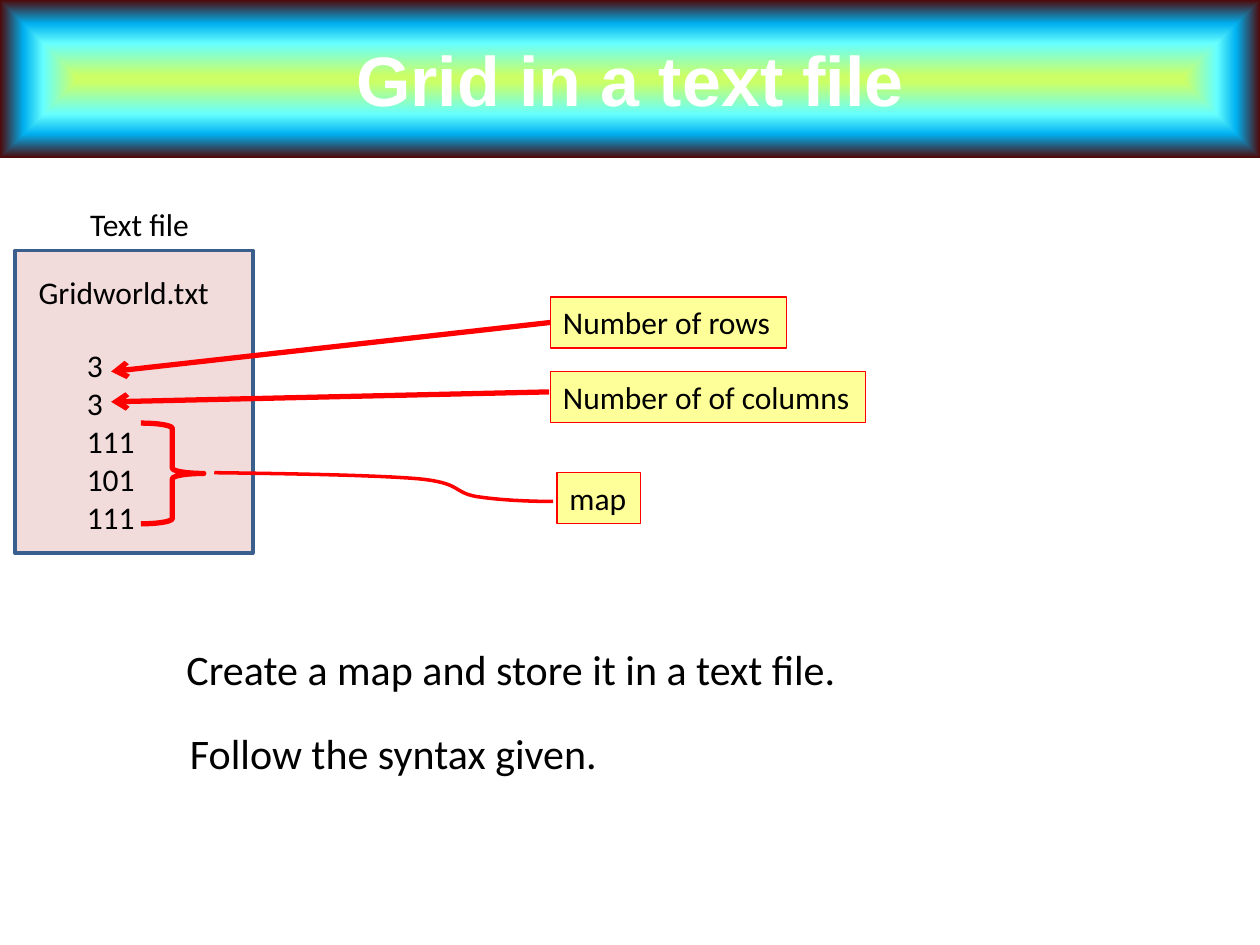
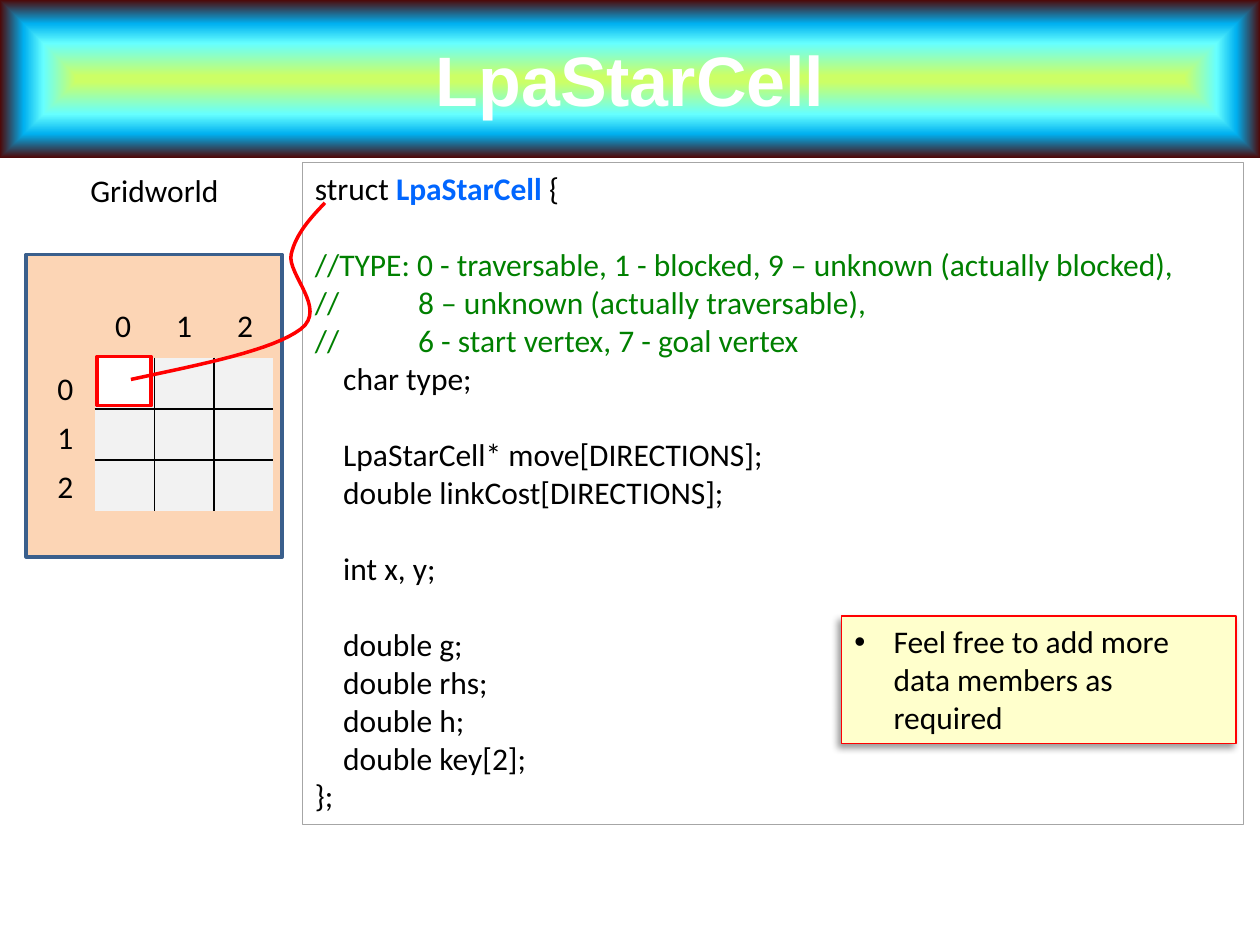
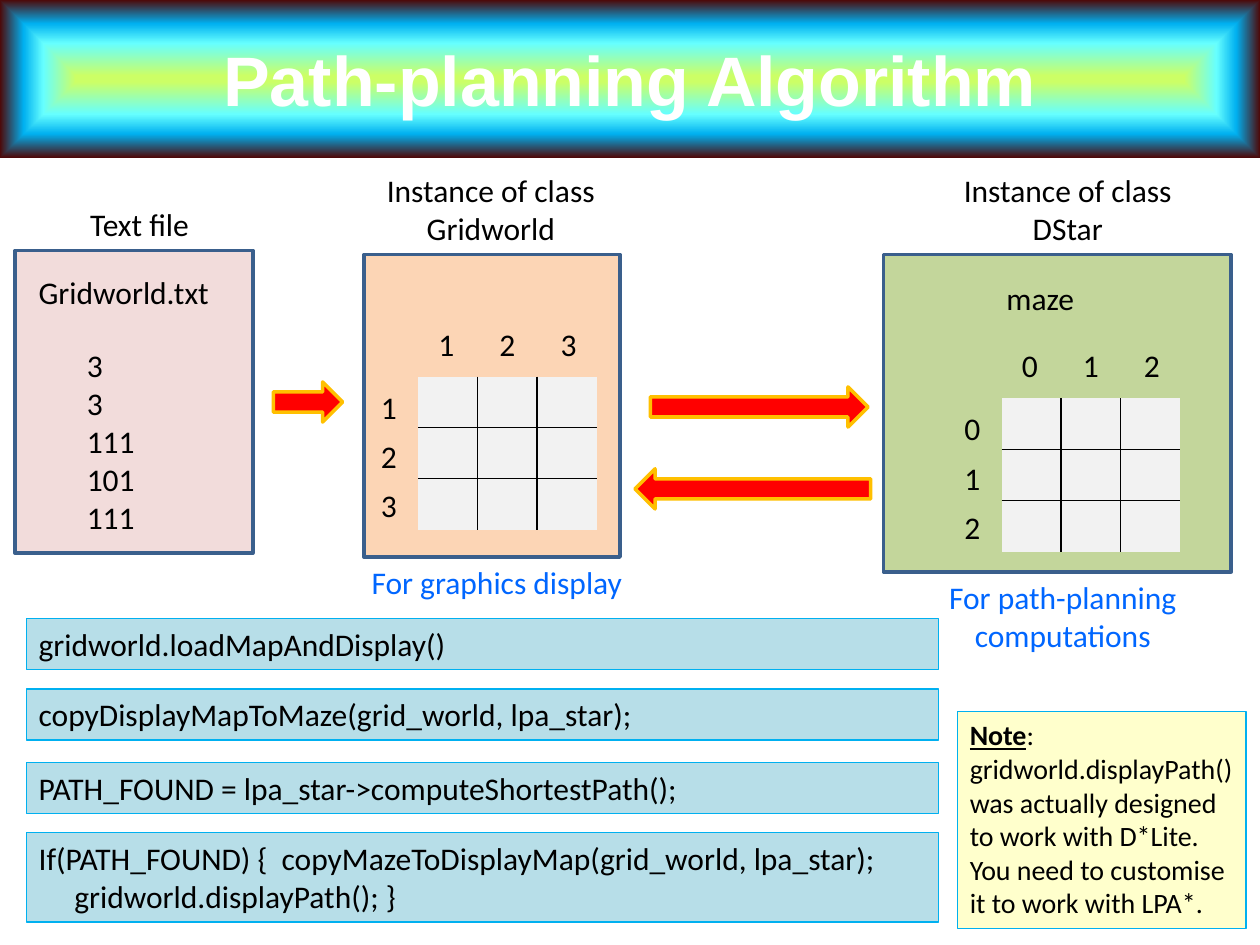
from lxml.etree import SubElement
from pptx import Presentation
from pptx.dml.color import RGBColor
from pptx.enum.shapes import MSO_CONNECTOR as CONN, MSO_SHAPE as SHAPE
from pptx.enum.text import MSO_ANCHOR as ANCHOR, MSO_AUTO_SIZE as AUTO, PP_ALIGN as ALIGN
from pptx.oxml.ns import qn
from pptx.util import Cm, Pt

# Shared colours
BLACK, WHITE, RED, BLUE, GREEN = "000000", "FFFFFF", "FF0000", "0066FF", "008000"
PANEL_LINE, PINK, PEACH, OLIVE = "3A5F8C", "F2DCDB", "FCD5B5", "C3D69B"
LABEL, NOTE, CELL, CALL, SKY = "FFFF99", "FFFFCC", "F2F2F2", "B7DEE8", "00B0F0"
GOLD, GREY = "FFC000", "A6A6A6"
BAND = [(4, "CCFF66"), (45, "66FFFF"), (70, SKY), (100, "4D0808")]
NO_GRID_STYLE = "{2D5ABB26-0587-4C30-8999-92F81FD0307C}"
LINE_H = 1.03  # height of a box with one 18 pt line


def rgb(color):
    return RGBColor.from_string(color)


def sub(parent, tag, **attrs):
    return SubElement(parent, qn(tag), {k: str(v) for k, v in attrs.items()})


def sub_color(parent, color):
    return sub(parent, "a:srgbClr", val=color)


def bezier(points, steps=16):
    """Points along a chain of cubic curves."""
    out = [points[0]]
    for i in range(0, len(points) - 1, 3):
        a, b, c, d = points[i:i + 4]
        for n in range(1, steps + 1):
            t = n / steps
            u = 1 - t
            out.append(tuple(u**3 * a[k] + 3 * u * u * t * b[k]
                             + 3 * u * t * t * c[k] + t**3 * d[k] for k in (0, 1)))
    return out


class Deck:
    font = "Calibri"

    def __init__(self):
        self.prs = Presentation()
        self.prs.slide_width, self.prs.slide_height = Cm(25.4), Cm(19.05)
        self.s = None

    def slide(self, title, layout=5):
        """Start a slide with its title on the gradient band."""
        self.s = self.prs.slides.add_slide(self.prs.slide_layouts[layout])
        sp = self.s.shapes.title
        self.place(sp, 0, 0, 25.4, 3.18)
        grad = sub(sp._element.spPr, "a:gradFill", rotWithShape=1)
        stops = sub(grad, "a:gsLst")
        for pos, color in BAND:
            sub_color(sub(stops, "a:gs", pos=pos * 1000), color)
        sub(sub(grad, "a:path", path="shape"), "a:fillToRect",
            l=50000, t=50000, r=50000, b=50000)
        self.put_lines(sp.text_frame, [title], 40, WHITE, ALIGN.CENTER)
        sp.text_frame.vertical_anchor = ANCHOR.MIDDLE
        font = sp.text_frame.paragraphs[0].font
        font.name, font.bold = "Arial", True

    def place(self, sp, x, y, w, h):
        sp.left, sp.top, sp.width, sp.height = Cm(x), Cm(y), Cm(w), Cm(h)

    def style(self, sp, fill, line, width):
        if fill:
            sp.fill.solid()
            sp.fill.fore_color.rgb = rgb(fill)
        else:
            sp.fill.background()
        sp.line.color.rgb = rgb(line)
        sp.line.width = Pt(width)

    def put_lines(self, tf, lines, size=18, color=BLACK, align=ALIGN.LEFT, wrap=True):
        """Fill a frame; a line is a string or a list of (text, font settings)."""
        tf.word_wrap = wrap
        tf.auto_size = AUTO.NONE
        tf.vertical_anchor = ANCHOR.TOP
        for i, line in enumerate(lines):
            p = tf.add_paragraph() if i else tf.paragraphs[0]
            p.alignment = align
            p.font.name, p.font.size = self.font, Pt(size)
            p.font.color.rgb = rgb(color)
            for text, look in [(line, {})] if isinstance(line, str) else line:
                r = p.add_run()
                r.text = text
                r.font.bold = look.get("bold")
                r.font.underline = look.get("underline")
                if "color" in look:
                    r.font.color.rgb = rgb(look["color"])

    def text(self, x, y, w, *lines, h=LINE_H, **look):
        sp = self.s.shapes.add_textbox(Cm(x), Cm(y), Cm(w), Cm(h))
        self.put_lines(sp.text_frame, lines, **{"wrap": False, **look})

    def heading(self, x, y, w, text, h=1.8, color=BLACK):
        self.text(x, y, w, text, h=h, color=color, align=ALIGN.CENTER, wrap=True)

    def shape(self, x, y, w, h, fill=None, line=PANEL_LINE, width=2, kind=SHAPE.RECTANGLE):
        sp = self.s.shapes.add_shape(kind, Cm(x), Cm(y), Cm(w), Cm(h))
        sp.shadow.inherit = False
        self.style(sp, fill, line, width)
        return sp

    def box(self, x, y, w, *lines, h=LINE_H, fill=LABEL, line=RED, **look):
        sp = self.shape(x, y, w, h, fill, line, 0.75)
        self.put_lines(sp.text_frame, lines, **look)
        return sp.text_frame

    def block_arrow(self, x, y, w, rotation=0):
        sp = self.shape(x, y, w, 0.81, RED, GOLD, kind=SHAPE.RIGHT_ARROW)
        sp.rotation = rotation

    def arrow(self, x1, y1, x2, y2):
        c = self.s.shapes.add_connector(CONN.STRAIGHT, Cm(x1), Cm(y1), Cm(x2), Cm(y2))
        c.line.color.rgb, c.line.width = rgb(RED), Pt(3)
        sub(c.line._get_or_add_ln(), "a:tailEnd", type="arrow")
        sub(c._element.spPr, "a:effectLst")

    def curve(self, *points):
        pts = [(Cm(x), Cm(y)) for x, y in bezier(points)]
        fb = self.s.shapes.build_freeform(*pts[0])
        fb.add_line_segments(pts[1:], close=False)
        sp = fb.convert_to_shape()
        sp.shadow.inherit = False
        self.style(sp, None, RED, 2)

    def bullet_note(self, x, y, w, h, text):
        """Body placeholder as a yellow note with a soft shadow."""
        sp = self.s.placeholders[1]
        self.place(sp, x, y, w, h)
        self.style(sp, NOTE, RED, 0.75)
        shadow = sub(sub(sp._element.spPr, "a:effectLst"), "a:outerShdw", algn="tr", rotWithShape=0,
                     blurRad=Pt(4), dist=Pt(3), dir=135 * 60000)
        sub(sub_color(shadow, BLACK), "a:alpha", val=40000)
        self.put_lines(sp.text_frame, [text])
        p = sp.text_frame.paragraphs[0]
        p.space_before = Pt(0)
        pPr = p._p.get_or_add_pPr()
        pPr.set("marL", str(Cm(0.79)))
        pPr.set("indent", str(-Cm(0.79)))

    def grid(self, x, y, first):
        """3 x 3 grid with inner rules, numbered from first on both sides."""
        n, col_w = 3, 1.2
        tbl = self.s.shapes.add_table(n, n, Cm(x), Cm(y), Cm(n * col_w), Cm(n * LINE_H)).table
        tbl.first_row = tbl.horz_banding = False
        tbl._tbl.tblPr.find(qn("a:tableStyleId")).text = NO_GRID_STYLE
        for i in range(n):
            tbl.columns[i].width, tbl.rows[i].height = Cm(col_w), Cm(LINE_H)
            for j in range(n):
                cell = tbl.cell(i, j)
                inner = {"a:lnL": j > 0, "a:lnR": j < n - 1, "a:lnT": i > 0, "a:lnB": i < n - 1}
                for tag in (t for t, shown in inner.items() if shown):
                    ln = sub(cell._tc.get_or_add_tcPr(), tag, w=Pt(1))
                    sub_color(sub(ln, "a:solidFill"), BLACK)
                cell.fill.solid()
                cell.fill.fore_color.rgb = rgb(CELL)
            number = str(first + i)
            self.text(x + 0.16 + 1.23 * i, y - 1.17, 0.84, number)
            self.text(x - 1, y + 0.1 + 0.99 * i, 0.84, number)

    def text_file(self):
        self.shape(0.3, 5.05, 4.8, 6.1, PINK)
        self.text(1.5, 6.86, 1.5, "3", "3", "111", "101", "111", h=4.11)
        self.text(0.53, 5.38, 3.99, "Gridworld.txt")
        self.text(1.57, 4.01, 2.54, "Text file")

    def code(self, x, y, w, h, rows):
        """Code box; a row is (line, blank line above, indent, colour)."""
        tf = self.box(x, y, w, *(row[0] for row in rows), h=h, fill=None, line=GREY)
        for p, (line, gap, indent, color) in zip(tf.paragraphs, rows):
            pPr = p._p.get_or_add_pPr()
            if "\t" in line:
                tabs = sub(pPr, "a:tabLst")
                sub(tabs, "a:tab", pos=Cm(2.08), algn="l")
                pPr.insert(0, tabs)
            if gap:
                p.space_before = Pt(22)
            pPr.set("marL", str(Cm(indent)))
            p.font.color.rgb = rgb(color)


def grid_file_slide(d):
    d.slide("Grid in a text file")
    d.text_file()
    d.text(3.51, 12.85, 13.72, "Create a map and store it in a text file.", h=1.28, size=24)
    d.text(3.58, 14.55, 8.79, "Follow the syntax given.", h=1.28, size=24)
    # Labels and what they point at
    for x, y, w, label in [(11.1, 5.99, 4.75, "Number of rows"),
                           (11.1, 7.49, 6.35, "Number of of columns"),
                           (11.23, 9.53, 1.68, "map")]:
        d.box(x, y, w, label, wrap=False)
    d.arrow(11.1, 6.5, 2.24, 7.49)
    d.arrow(11.07, 7.9, 2.24, 8.1)
    d.shape(2.84, 8.53, 1.27, 2.03, None, RED, 3, SHAPE.RIGHT_BRACE)
    d.curve((4.32, 9.53), (5.92, 9.55), (7.52, 9.58), (8.41, 9.65), (9.3, 9.73),
            (9.14, 9.93), (9.6, 10.01), (10.06, 10.08), (10.62, 10.11), (11.15, 10.11))


def cell_slide(d):
    d.slide("LpaStarCell", layout=1)
    # Grid
    d.shape(0.53, 5.13, 5.16, 6.1, PEACH)
    d.grid(1.91, 7.21, 0)
    d.heading(0.51, 3.33, 5.21, "Gridworld", h=LINE_H)
    # Structure
    struct = [("struct ", {}), ("LpaStarCell ", {"bold": True, "color": BLUE}), ("{", {})]
    member = 0.57
    d.code(6.1, 3.28, 18.97, 13.34, [
        (struct, False, 0, BLACK),
        ("//TYPE: 0 - traversable, 1 - blocked, 9 – unknown (actually blocked),", True, 0, GREEN),
        ("//\t8 – unknown (actually traversable),", False, 0, GREEN),
        ("//\t6 - start vertex, 7 - goal vertex", False, 0, GREEN),
        ("char type;", False, member, BLACK),
        ("LpaStarCell* move[DIRECTIONS];", True, member, BLACK),
        ("double linkCost[DIRECTIONS];", False, member, BLACK),
        ("int x, y;", True, member, BLACK),
        ("double g;", True, member, BLACK),
        ("double rhs;", False, member, BLACK),
        ("double h;", False, member, BLACK),
        ("double key[2];", False, member, BLACK),
        ("};", False, 0, BLACK),
    ])
    # Highlighted cell and its link to the structure
    d.shape(1.96, 7.19, 1.09, 0.99, WHITE, RED)
    d.curve((2.64, 7.65), (4.09, 7.34), (5.51, 7.06), (6.07, 6.63), (6.6, 6.22),
            (5.79, 5.54), (5.87, 5.13), (5.97, 4.7), (6.27, 4.39), (6.55, 4.09))
    d.bullet_note(16.97, 12.42, 7.95, 2.57, "Feel free to add more data members as required")


def algorithm_slide(d):
    d.slide("Path-planning Algorithm")
    # Text file, display grid and maze
    d.text_file()
    d.shape(7.34, 5.13, 5.16, 6.1, PEACH)
    d.shape(17.81, 5.13, 7.01, 6.4, OLIVE)
    d.grid(8.43, 7.59, 1)
    d.grid(20.19, 8.03, 0)
    d.heading(7.29, 3.33, 5.21, "Instance of class Gridworld")
    d.heading(18.92, 3.33, 5.21, "Instance of class DStar")
    d.text(20.04, 5.51, 1.88, "maze")
    d.text(7.24, 11.23, 5.61, "For graphics display", color=BLUE)
    d.heading(18.72, 11.53, 5.41, "For path-planning computations", color=BLUE)
    # Data flow
    d.block_arrow(5.51, 7.7, 1.4)
    d.block_arrow(13.11, 7.8, 4.39)
    d.block_arrow(12.8, 9.45, 4.75, rotation=180)
    # Calls in order
    for y, call in [(12.47, "gridworld.loadMapAndDisplay()"),
                    (13.89, "copyDisplayMapToMaze(grid_world, lpa_star);"),
                    (15.37, "PATH_FOUND = lpa_star->computeShortestPath();")]:
        d.box(0.53, y, 18.39, call, fill=CALL, line=SKY)
    tf = d.box(0.53, 16.79, 18.39,
               "If(PATH_FOUND) {  copyMazeToDisplayMap(grid_world, lpa_star);",
               "gridworld.displayPath(); }", h=1.8, fill=CALL, line=SKY)
    tf.paragraphs[1]._p.get_or_add_pPr().set("marL", str(Cm(0.72)))
    d.box(19.3, 14.35, 5.82, [("Note", {"bold": True, "underline": True}), (":", {})],
          "gridworld.displayPath() was actually designed to work with D*Lite.  "
          "You need to customise it to work with LPA*.",
          h=4.37, fill=NOTE, line=SKY, size=16)


def main():
    d = Deck()
    grid_file_slide(d)
    cell_slide(d)
    algorithm_slide(d)
    d.prs.save("out.pptx")


if __name__ == "__main__":
    main()
